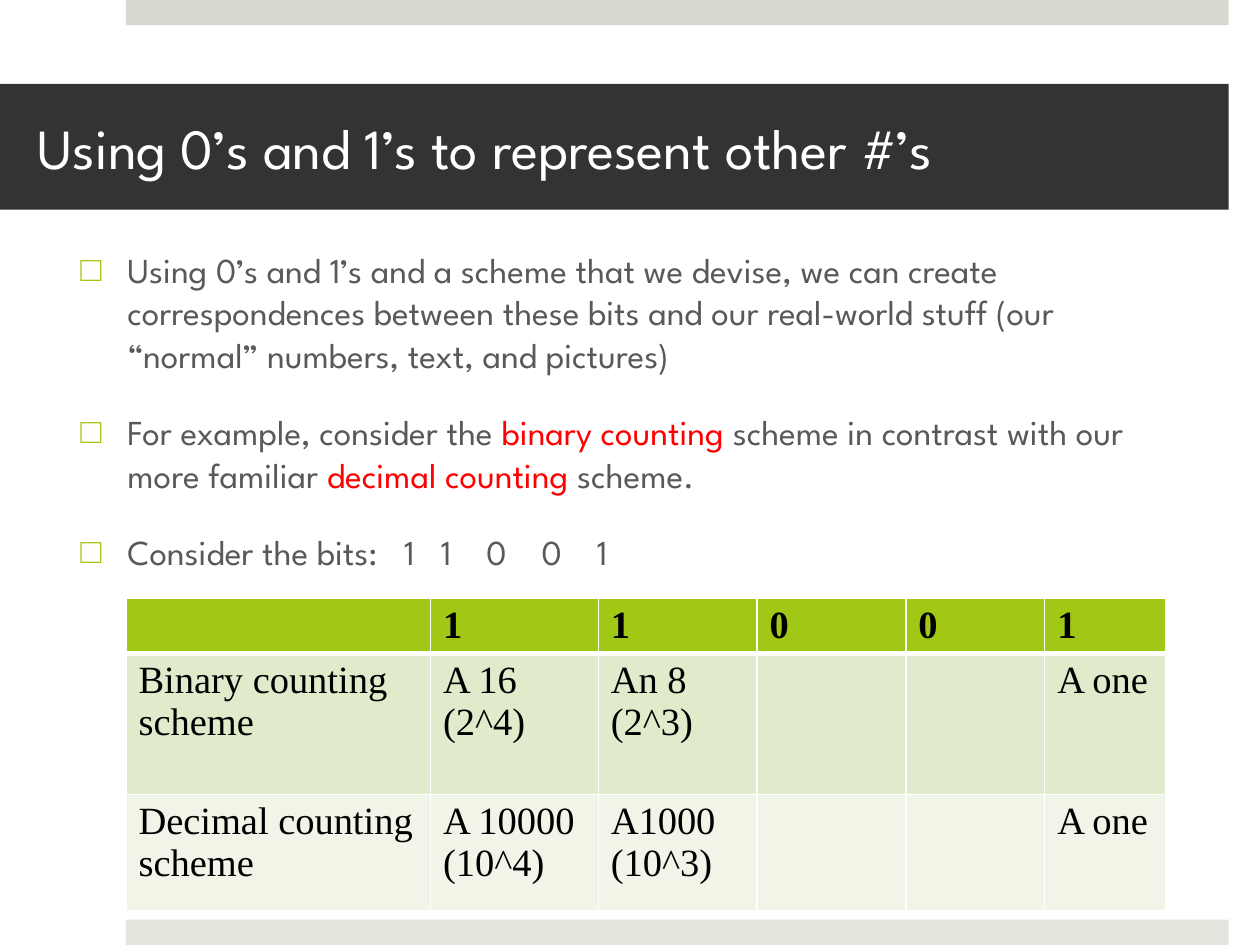
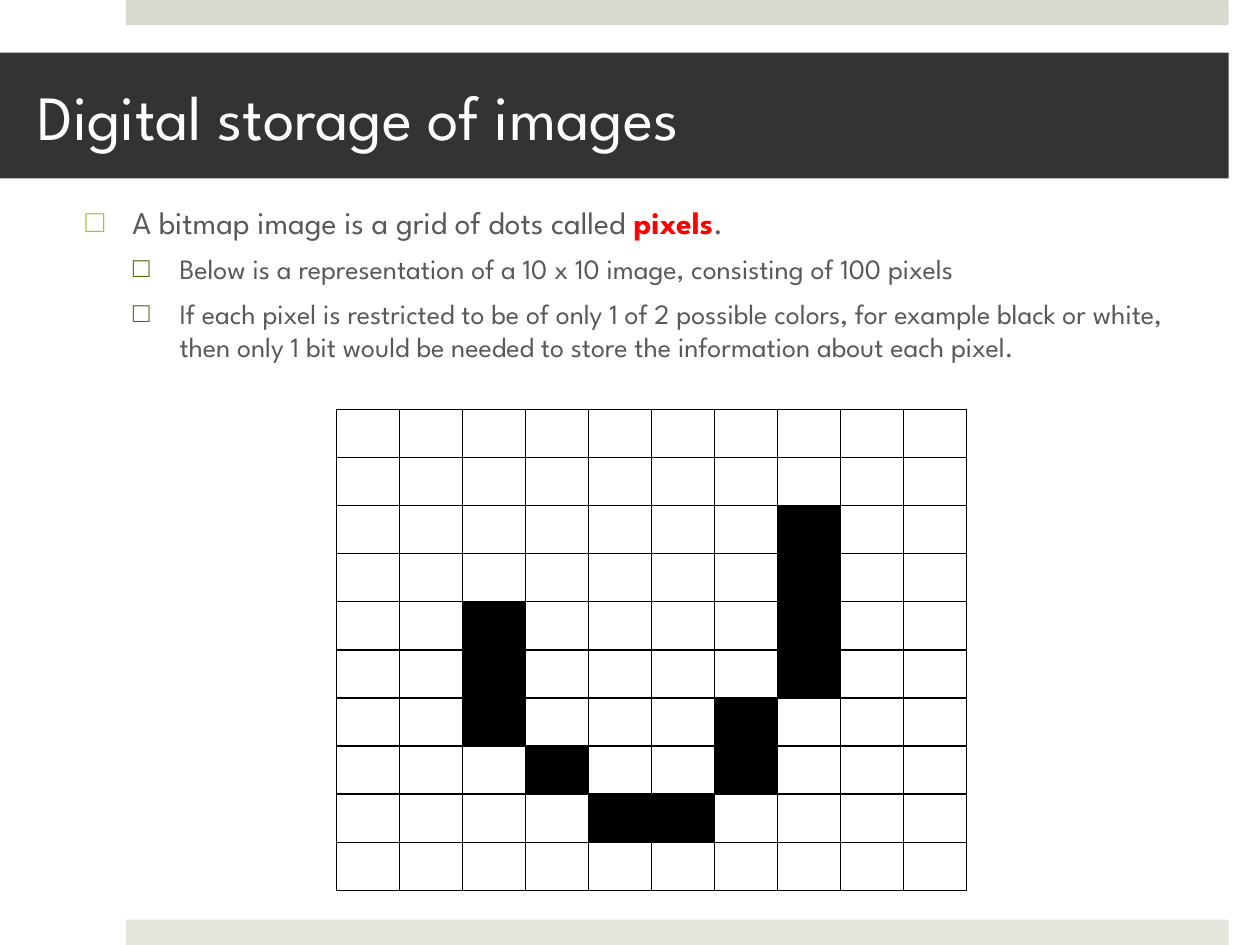
"""Builds two slides on binary counting and bitmap images."""
from lxml import etree
from pptx import Presentation
from pptx.dml.color import RGBColor
from pptx.enum.shapes import MSO_SHAPE
from pptx.enum.text import MSO_ANCHOR, PP_ALIGN
from pptx.oxml.ns import qn
from pptx.util import Cm, Pt

RECTANGLE = MSO_SHAPE.RECTANGLE
MIDDLE = MSO_ANCHOR.MIDDLE
LEFT = PP_ALIGN.LEFT

SANS, SERIF = "League Spartan", "Times New Roman"
WHITE, BLACK, DARK, GREY, RED = "FFFFFF", "000000", "333333", "595959", "FF0000"
LIME, OLIVE = "A2C816", "51640B"
ROW_FILLS = [LIME, "E0EBCC", "F0F5E8"]
BANDS = [(0, "D6D9CD"), (18.54, "E4E6DE")]

KEY = {"color": RED}
BOLD_KEY = {"color": RED, "bold": True}
NARROW, WIDE = {"spacing": 10}, {"spacing": 15}

TOP_LEVEL = {"indent": 0.95, "hanging": 0.95, "before": 20, "bullet": LIME}
SUB_LEVEL = {"indent": 1.9, "hanging": 0.94, "before": 6, "bullet": OLIVE}

COUNTING_TITLE = "Using 0’s and 1’s to represent other #’s"
COUNTING_POINTS = [
    (TOP_LEVEL, 20, [("Using 0’s and 1’s and a scheme that we devise, we can create "
                      "correspondences between these bits and our real-world stuff "
                      "(our “normal” numbers, text, and pictures)", {})]),
    (TOP_LEVEL, 20, [("For example, consider the ", {}), ("binary counting ", KEY),
                     ("scheme in contrast with our more familiar ", {}),
                     ("decimal counting", KEY), (" scheme.", {})]),
    (TOP_LEVEL, 20, [("Consider the bits:", {}), (" ", NARROW), ("1", {}),
                     (" ", NARROW), ("1", {}), (" ", WIDE), ("0", {}),
                     (" ", WIDE), ("0", {}), (" ", WIDE), ("1", {})]),
]
COUNTING_ROWS = [
    ["", "1", "1", "0", "0", "1"],
    ["Binary counting scheme", "A 16 (2^4)", "An 8 (2^3)", "", "", "A one"],
    ["Decimal counting scheme", "A 10000 (10^4)", "A1000 (10^3)", "", "", "A one"],
]
COUNTING_WIDTHS = [6.14, 3.38, 3.2, 3, 2.8, 2.44]
COUNTING_HEIGHTS = [1.1, 2.84, 2.35]

IMAGE_TITLE = "Digital storage of images"
IMAGE_POINTS = [
    (TOP_LEVEL, 18, [("A bitmap image is a grid of dots called ", {}),
                     ("pixels", BOLD_KEY), (".", {})]),
    (SUB_LEVEL, 16, [("Below is a representation of a 10 x 10 image, "
                      "consisting of 100 pixels", {})]),
    (SUB_LEVEL, 16, [("If each pixel is restricted to be of only 1 of 2 possible colors, "
                      "for example black or white, then only 1 bit would be needed to "
                      "store the information about each pixel.", {})]),
]
BITMAP = [
    "..........",
    "..........",
    ".......#..",
    ".......#..",
    "..#....#..",
    "..#....#..",
    "..#...#...",
    "...#..#...",
    "....##....",
    "..........",
]
PIXEL_WIDTH, PIXEL_HEIGHT = 1.27, 0.97


def paint(target, color):
    target.solid()
    target.fore_color.rgb = RGBColor.from_string(color)


def add_text(para, text, size=20, color=GREY, font=SANS, bold=False, spacing=None):
    span = para.add_run()
    span.text = text
    span.font.size = Pt(size)
    span.font.name = font
    span.font.bold = bold
    paint(span.font.fill, color)
    if spacing:
        span.font._element.set("spc", str(spacing * 100))


def add_bar(page, left, top, width, height, color):
    bar = page.shapes.add_shape(RECTANGLE, Cm(left), Cm(top), Cm(width), Cm(height))
    bar.shadow.inherit = False
    paint(bar.fill, color)
    bar.line.fill.background()
    return bar


def add_page(deck, title, top, size):
    page = deck.slides.add_slide(deck.slide_layouts[6])
    for band_top, color in BANDS:
        add_bar(page, 2.54, band_top, 22.23, 0.51, color)
    frame = add_bar(page, 0, top, 24.77, 2.54, DARK).text_frame
    frame.word_wrap = True
    frame.vertical_anchor = MIDDLE
    frame.margin_left = frame.margin_right = Cm(0.76)
    frame.paragraphs[0].alignment = LEFT
    add_text(frame.paragraphs[0], title, size=size, color=WHITE)
    return page


def add_bullet(para, indent, hanging, before, bullet):
    para.space_before = Pt(before)
    properties = para._p.get_or_add_pPr()
    properties.set("marL", str(Cm(indent)))
    properties.set("indent", str(-Cm(hanging)))
    color = etree.SubElement(properties, qn("a:buClr"))
    etree.SubElement(color, qn("a:srgbClr"), val=bullet)
    etree.SubElement(properties, qn("a:buFont"), typeface="Arial")
    etree.SubElement(properties, qn("a:buChar"), char="□")


def add_points(page, points, left, top, width, height):
    box = page.shapes.add_textbox(Cm(left), Cm(top), Cm(width), Cm(height))
    frame = box.text_frame
    frame.word_wrap = True
    for index, (level, size, parts) in enumerate(points):
        para = frame.add_paragraph() if index else frame.paragraphs[0]
        para.line_spacing = Pt(round(size * 1.21, 1))
        add_bullet(para, **level)
        for text, style in parts:
            add_text(para, text, size=size, **style)


def add_borders(cell, color, bottom=1):
    properties = cell._tc.get_or_add_tcPr()
    sides = [("a:lnL", 1), ("a:lnR", 1), ("a:lnT", 1), ("a:lnB", bottom)]
    for position, (side, width) in enumerate(sides):
        line = etree.Element(qn(side), w=str(Pt(width)))
        fill = etree.SubElement(line, qn("a:solidFill"))
        etree.SubElement(fill, qn("a:srgbClr"), val=color)
        properties.insert(position, line)


def add_grid(page, left, top, widths, heights):
    table = page.shapes.add_table(len(heights), len(widths), Cm(left), Cm(top),
                                  Cm(sum(widths)), Cm(sum(heights))).table
    table.first_row = table.horz_banding = False
    for column, width in zip(table.columns, widths):
        column.width = Cm(width)
    for row, height in zip(table.rows, heights):
        row.height = Cm(height)
    return table


def add_counting_table(page):
    table = add_grid(page, 2.54, 12.07, COUNTING_WIDTHS, COUNTING_HEIGHTS)
    for row, texts in enumerate(COUNTING_ROWS):
        header = row == 0
        for column, text in enumerate(texts):
            cell = table.cell(row, column)
            paint(cell.fill, ROW_FILLS[row])
            add_borders(cell, WHITE, bottom=3 if header else 1)
            if text:
                para = cell.text_frame.paragraphs[0]
                para.line_spacing = Pt(24)
                add_text(para, text, size=22, color=BLACK, font=SERIF, bold=header)


def add_bitmap(page):
    table = add_grid(page, 6.78, 8.25, [PIXEL_WIDTH] * len(BITMAP[0]),
                     [PIXEL_HEIGHT] * len(BITMAP))
    for row, pixels in enumerate(BITMAP):
        for column, pixel in enumerate(pixels):
            cell = table.cell(row, column)
            cell.margin_top = cell.margin_bottom = 0
            if pixel == "#":
                paint(cell.fill, BLACK)
            else:
                cell.fill.background()
            add_borders(cell, BLACK)


def main():
    deck = Presentation()
    deck.slide_width, deck.slide_height = Cm(25.4), Cm(19.05)

    page = add_page(deck, COUNTING_TITLE, 1.69, 32.4)
    add_points(page, COUNTING_POINTS, 1.37, 4.88, 22.76, 11.91)
    add_counting_table(page)

    page = add_page(deck, IMAGE_TITLE, 1.06, 36)
    add_points(page, IMAGE_POINTS, 1.47, 3.96, 22.33, 11.05)
    add_bitmap(page)

    deck.save("out.pptx")


if __name__ == "__main__":
    main()
